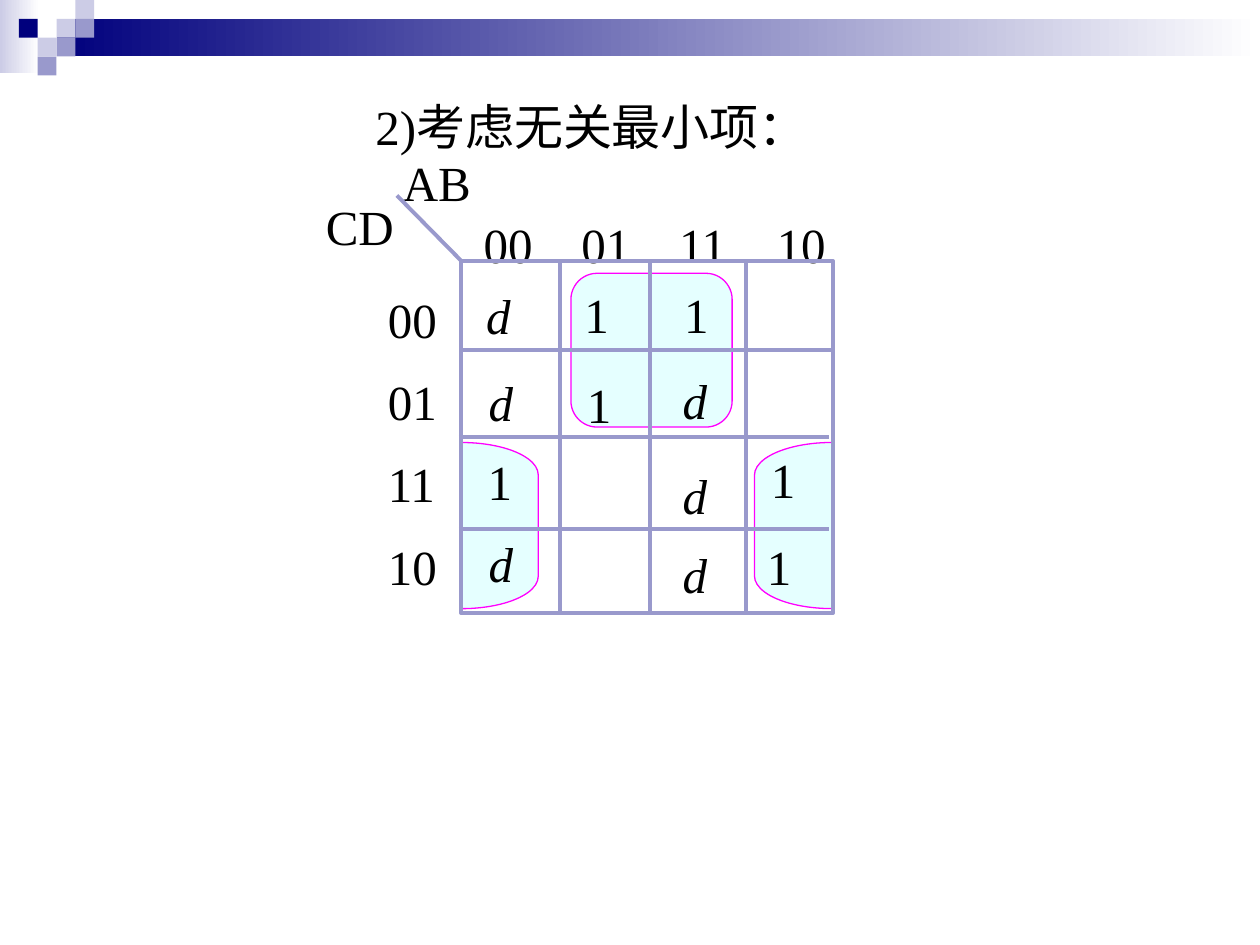
"""Build a slide with a Karnaugh map that uses its don't-care terms."""
from lxml.etree import SubElement as Sub
from pptx import Presentation
from pptx.dml.color import RGBColor as Rgb
from pptx.enum.shapes import MSO_CONNECTOR as Link, MSO_SHAPE as Form
from pptx.oxml.ns import qn
from pptx.util import Cm, Pt

HUES = {"navy": "00007D", "pale": "CCCCE6", "mid": "9999CC", "white": "FFFFFF",
        "loop": "FF00FF", "aqua": "CCFFFF", "ink": "000000"}
FONT = "Times New Roman"
TILE = 0.38
BANDS = [("pale", 0, 0, 0.79, 1.47), ("navy", 1.14, 0.38, 24.26, 0.76)]
TILES = [("pale", 3, 1), ("pale", 4, 0), ("mid", 4, 1), ("pale", 2, 2),
         ("navy", 1, 1), ("mid", 3, 2), ("mid", 2, 3)]
LOOPS = [(Form.LEFT_BRACKET, 9.3, 8.92, 1.55, 3.35, 0.42, 180),
         (Form.LEFT_BRACKET, 15.21, 8.92, 1.57, 3.35, 0.42, 0),
         (Form.ROUNDED_RECTANGLE, 11.51, 5.51, 3.25, 3.1, 0.17, 0)]
MAP = (9.3, 5.26, 7.49, 7.1)
COLS = [11.28, 13.11, 15.04]
ROWS = [(9.3, 7.06), (9.25, 8.81), (9.25, 10.67)]
CODES = ["00", "01", "11", "10"]
PITCH = 1.97
LABELS = [("2)考虑无关最小项：", 7.32, 1.83, 9.19), ("AB", 7.87, 2.95, 1.88),
          ("CD", 6.32, 3.84, 1.88)]
CELLS = [("d", 9.55, 5.64), ("d", 9.6, 7.39), ("1", 9.58, 8.97),
         ("d", 9.6, 10.64), ("1", 11.58, 7.42), ("d", 13.51, 7.34),
         ("d", 13.51, 9.25), ("d", 13.51, 10.85), ("1", 15.29, 8.94),
         ("1", 15.21, 10.69)]
TOPS = [("1", 11.53, 5.38), ("1", 13.54, 5.38)]


def hue(name):
    return Rgb.from_string(HUES[name])


def shape(form, *box):
    item = slide.shapes.add_shape(form, *map(Cm, box))
    item.shadow.inherit = False
    item.line.fill.background()
    return item


def stroke(item, name, width):
    item.line.color.rgb = hue(name)
    item.line.width = Pt(width)


def line(*ends):
    item = slide.shapes.add_connector(Link.STRAIGHT, *map(Cm, ends))
    stroke(item, "mid", 2.25)
    Sub(item._element.spPr, qn("a:effectLst"))


def text(lines, left, top, width, high=1.45, space=None, wrap=False, tabs=()):
    box = slide.shapes.add_textbox(*map(Cm, (left, top, width, high)))
    frame = box.text_frame
    frame.word_wrap = wrap
    frame.text = "\n".join(lines)
    for para in frame.paragraphs:
        if tabs:
            stops = Sub(para._p.get_or_add_pPr(), qn("a:tabLst"))
            for spot in tabs:
                Sub(stops, qn("a:tab"), pos=str(Cm(spot)), algn="l")
        if space:
            para.line_spacing = space
        font = para.font
        font.name, font.size = FONT, Pt(28)
        font.color.rgb = hue("ink")
        font.italic = para.text == "d"


deck = Presentation()
deck.slide_width, deck.slide_height = Cm(25.4), Cm(19.05)
slide = deck.slides.add_slide(deck.slide_layouts[6])

for name, *box in BANDS:
    fill = shape(Form.RECTANGLE, *box).fill
    fill.gradient()
    fill.gradient_angle = 0
    for stop, tint in zip(fill.gradient_stops, (name, "white")):
        stop.color.rgb = hue(tint)
for name, col, row in TILES:
    fill = shape(Form.RECTANGLE, col * TILE, row * TILE, TILE, TILE).fill
    fill.solid()
    fill.fore_color.rgb = hue(name)

for form, *box, bend, turn in LOOPS:
    loop = shape(form, *box)
    loop.adjustments[0] = bend
    loop.rotation = turn
    loop.fill.solid()
    loop.fill.fore_color.rgb = hue("aqua")
    tint = loop._element.spPr.find(qn("a:solidFill"))[0]
    Sub(tint, qn("a:alpha"), val="50000")
    stroke(loop, "loop", 0.75)

left, top, width, high = MAP
text(["\t".join(CODES)], 9.5, 4.19, 7.42, wrap=True,
     tabs=[PITCH * n for n in range(1, len(CODES))])
text(CODES, 7.57, 5.23, 1.63, 6.91, space=1.4, wrap=True)
for word, *box in LABELS:
    text([word], *box)
for mark, x, y in TOPS:
    text([mark], x, y, 1.47, 1.68, space=1.2, wrap=True)

frame = shape(Form.RECTANGLE, *MAP)
frame.fill.background()
stroke(frame, "mid", 2.25)
line(left, top, 8, 3.94)
for x in COLS:
    line(x, top, x, top + high)
for x, y in ROWS:
    line(x, y, x + 7.47, y)
for mark, x, y in CELLS:
    text([mark], x, y, 1.02)

deck.save("out.pptx")
